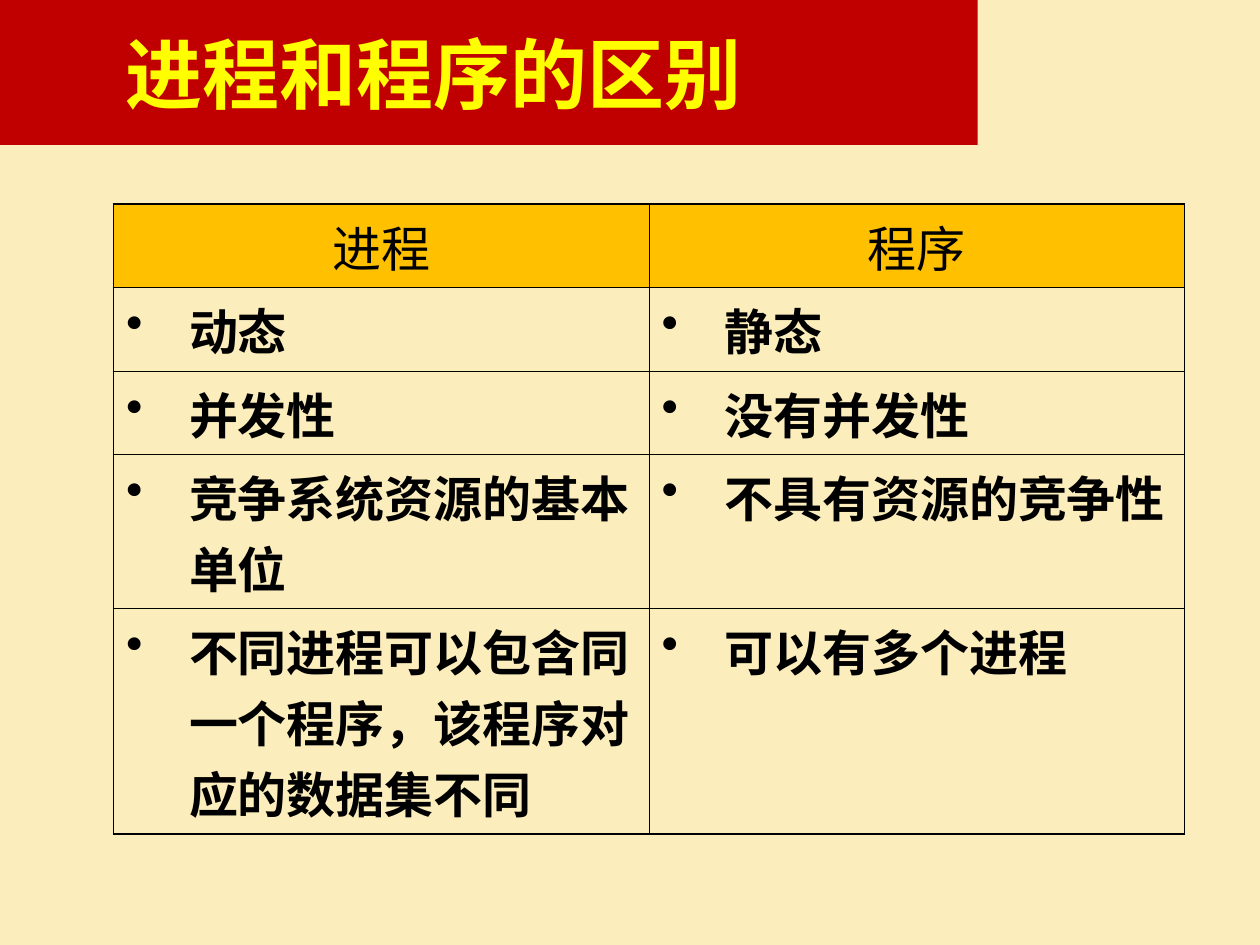
import lxml.etree
import pptx
import pptx.dml.color
import pptx.enum.shapes
import pptx.enum.text
import pptx.oxml.ns
import pptx.util

Inches = pptx.util.Inches
Pt = pptx.util.Pt
Align = pptx.enum.text.PP_ALIGN
qn = pptx.oxml.ns.qn

COLOURS = {
    "background": "FBEDBC",
    "banner": "C00000",
    "title": "FFFF00",
    "header": "FFC000",
    "ink": "000000",
}
ROWS = [
    ("进程", "程序"),
    ("动态", "静态"),
    ("并发性", "没有并发性"),
    ("竞争系统资源的基本单位", "不具有资源的竞争性"),
    ("不同进程可以包含同一个程序，该程序对应的数据集不同", "可以有多个进程"),
]
ROW_HEIGHTS = [0.57, 0.57, 0.57, 1.03, 1.5]
COLUMN_WIDTHS = [4.25, 4.25]
OUTER_LINE, INNER_LINE = 1.08, 0.45


def colour(name):
    return pptx.dml.color.RGBColor.from_string(COLOURS[name])


def add_colour(parent, name):
    lxml.etree.SubElement(parent, qn("a:srgbClr"), val=COLOURS[name])


class SlideBuilder:
    """Holds the text style and the slide being built."""

    font = "Noto Sans CJK SC"

    def __init__(self, slide):
        self.slide = slide
        fill = slide.background.fill
        fill.solid()
        fill.fore_color.rgb = colour("background")

    def fill_text(self, frame, text, size=28, ink="ink", bold=False,
                  align=Align.LEFT, before=0, bullet=False):
        para = frame.paragraphs[0]
        para.alignment = align
        para.space_before = Pt(before)
        span = para.add_run()
        span.text = text
        span.font.size = Pt(size)
        span.font.bold = bold
        span.font.name = self.font
        span.font.color.rgb = colour(ink)
        lxml.etree.SubElement(span.font._element, qn("a:ea"), typeface=self.font)
        if bullet:
            self.add_bullet(para, ink)

    def add_bullet(self, para, ink):
        properties = para._p.get_or_add_pPr()
        properties.set("marL", str(Inches(0.5)))
        properties.set("indent", str(Inches(-0.5)))
        add_colour(lxml.etree.SubElement(properties, qn("a:buClr")), ink)
        lxml.etree.SubElement(properties, qn("a:buChar"), char="•")

    def add_rectangle(self, left, top, width, height, fill):
        box = self.slide.shapes.add_shape(
            pptx.enum.shapes.MSO_SHAPE.RECTANGLE,
            Inches(left), Inches(top), Inches(width), Inches(height))
        box.shadow.inherit = False
        box.fill.solid()
        box.fill.fore_color.rgb = colour(fill)
        box.line.fill.background()

    def add_text(self, left, top, width, height, text, **style):
        box = self.slide.shapes.add_textbox(
            Inches(left), Inches(top), Inches(width), Inches(height))
        frame = box.text_frame
        frame.word_wrap = True
        frame.vertical_anchor = pptx.enum.text.MSO_ANCHOR.MIDDLE
        self.fill_text(frame, text, **style)

    def set_borders(self, cell, outer_sides):
        """Draws outer_sides, a string of letters from LRTB, thicker."""
        properties = cell._tc.get_or_add_tcPr()
        for index, side in enumerate("LRTB"):
            width = OUTER_LINE if side in outer_sides else INNER_LINE
            line = lxml.etree.Element(qn("a:ln" + side), w=str(Pt(width)))
            add_colour(lxml.etree.SubElement(line, qn("a:solidFill")), "ink")
            properties.insert(index, line)

    def add_table(self, left, top, rows, widths, heights):
        table = self.slide.shapes.add_table(
            len(rows), len(widths), Inches(left), Inches(top),
            Inches(sum(widths)), Inches(sum(heights))).table
        table.first_row = table.horz_banding = False
        for column, width in zip(table.columns, widths):
            column.width = Inches(width)
        for row, height in zip(table.rows, heights):
            row.height = Inches(height)
        for i, texts in enumerate(rows):
            for j, text in enumerate(texts):
                cell = table.cell(i, j)
                if i == 0:
                    cell.fill.solid()
                    cell.fill.fore_color.rgb = colour("header")
                    self.fill_text(cell.text_frame, text, align=Align.CENTER, before=7)
                else:
                    cell.fill.background()
                    self.fill_text(cell.text_frame, text, bold=True, before=7, bullet=True)
                edges = {"L": j == 0, "R": j == len(widths) - 1,
                         "T": i == 0, "B": i == len(rows) - 1}
                self.set_borders(cell, "".join(s for s in edges if edges[s]))


def main():
    deck = pptx.Presentation()
    deck.slide_width, deck.slide_height = Inches(10), Inches(7.5)
    builder = SlideBuilder(deck.slides.add_slide(deck.slide_layouts[6]))
    builder.add_table(0.9, 1.62, ROWS, COLUMN_WIDTHS, ROW_HEIGHTS)
    builder.add_rectangle(0, 0, 7.76, 1.15, "banner")
    builder.add_text(0.9, 0.28, 5.83, 0.59, "进程和程序的区别",
                     size=44, ink="title", bold=True)
    deck.save("out.pptx")


if __name__ == "__main__":
    main()
